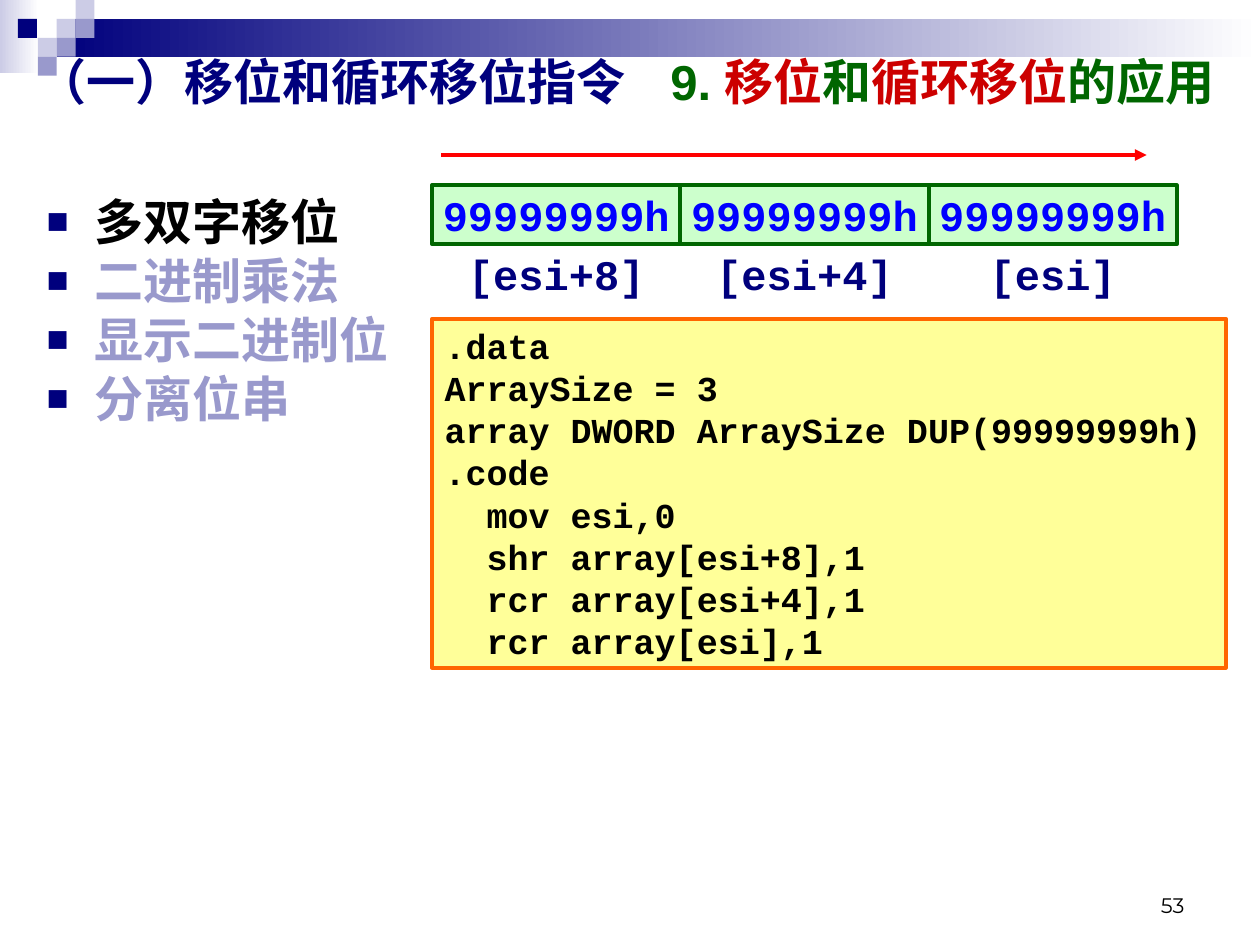
from lxml import etree
from pptx import Presentation
from pptx.dml.color import RGBColor
from pptx.enum.shapes import MSO_CONNECTOR, MSO_SHAPE
from pptx.enum.text import MSO_ANCHOR, MSO_AUTO_SIZE, PP_ALIGN
from pptx.oxml.ns import qn
from pptx.util import Inches, Pt

COLORS = {
    "navy": "00007D", "lilac": "9999CC", "pale": "CCCCE6", "white": "FFFFFF",
    "black": "000000", "green": "006600", "crimson": "CC0000", "red": "FF0000",
    "blue": "0000FF", "mint": "CCFFCC", "yellow": "FFFF99", "orange": "FF6600",
}


def rgb(name):
    return RGBColor.from_string(COLORS[name])


def add_span(para, text, size=28, font="Arial", color="black", bold=True):
    span = para.add_run()
    span.text = text
    span.font.size = Pt(size)
    span.font.name = font
    span.font.bold = bold
    span.font.color.rgb = rgb(color)


def add_child(parent, tag, **attributes):
    return etree.SubElement(parent, qn(tag), attributes)


class SlideBuilder:
    code_font = "Courier New"

    def __init__(self, page):
        self.page = page

    def rectangle(self, left, top, width, height, fill, line=None, fade=False):
        shape = self.page.shapes.add_shape(
            MSO_SHAPE.RECTANGLE, *map(Inches, (left, top, width, height)))
        shape.shadow.inherit = False
        if fade:
            shape.fill.gradient()
            shape.fill.gradient_angle = 0
            for stop, color in zip(shape.fill.gradient_stops, (fill, "white")):
                stop.color.rgb = rgb(color)
        else:
            shape.fill.solid()
            shape.fill.fore_color.rgb = rgb(fill)
        if line:
            shape.line.color.rgb = rgb(line)
            shape.line.width = Pt(2.25)
        else:
            shape.line.fill.background()
        return shape

    def text_box(self, left, top, width, height):
        return self.page.shapes.add_textbox(
            *map(Inches, (left, top, width, height)))

    def set_lines(self, box, lines, align=PP_ALIGN.LEFT,
                  anchor=MSO_ANCHOR.MIDDLE, wrap=False, spacing=None, **style):
        frame = box.text_frame
        frame.word_wrap = wrap
        frame.vertical_anchor = anchor
        for index, line in enumerate(lines):
            para = frame.paragraphs[0] if index == 0 else frame.add_paragraph()
            para.alignment = align
            para.line_spacing = spacing
            add_span(para, line, **style)

    def placeholder(self, box, left, top, width, height):
        box.left, box.top, box.width, box.height = map(
            Inches, (left, top, width, height))
        frame = box.text_frame
        frame.word_wrap = True
        frame.auto_size = MSO_AUTO_SIZE.NONE
        frame.vertical_anchor = MSO_ANCHOR.TOP
        # Bring the placeholder in front of the decoration
        box.element.getparent().append(box.element)
        return frame

    def title(self, spans, tab, *place):
        para = self.placeholder(self.page.shapes.title, *place).paragraphs[0]
        para.alignment = PP_ALIGN.LEFT
        tabs = add_child(para._p.get_or_add_pPr(), "a:tabLst")
        add_child(tabs, "a:tab", pos=str(Inches(tab)), algn="l")
        for text, color in spans:
            add_span(para, text, color=color)

    def bullets(self, items, *place):
        frame = self.placeholder(self.page.placeholders[1], *place)
        for index, (text, color) in enumerate(items):
            para = frame.paragraphs[0] if index == 0 else frame.add_paragraph()
            para.space_before = Pt(0)
            props = para._p.get_or_add_pPr()
            props.set("marL", str(Inches(0.38)))
            props.set("indent", str(Inches(-0.38)))
            bullet_color = add_child(props, "a:buClr")
            add_child(bullet_color, "a:srgbClr", val=COLORS["navy"])
            add_child(props, "a:buSzPct", val="75000")
            add_child(props, "a:buFont", typeface="Arial")
            add_child(props, "a:buChar", char="■")
            add_span(para, text, font="Times New Roman", color=color)

    def arrow(self, start, end, y, color):
        line = self.page.shapes.add_connector(
            MSO_CONNECTOR.STRAIGHT, *map(Inches, (start, y, end, y)))
        line.line.color.rgb = rgb(color)
        line.line.width = Pt(2.25)
        add_child(line.line._get_or_add_ln(), "a:tailEnd", type="triangle")
        add_child(line._element.spPr, "a:effectLst")


def main():
    deck = Presentation()
    deck.slide_width, deck.slide_height = Inches(10), Inches(7.5)
    builder = SlideBuilder(deck.slides.add_slide(deck.slide_layouts[1]))

    # Header band and mosaic
    builder.rectangle(0, 0, 0.31, 0.58, "pale", fade=True)
    builder.rectangle(0.45, 0.15, 9.55, 0.3, "navy", fade=True)
    tile = 0.15
    for column, row, color in [
            (3, 1, "pale"), (4, 0, "pale"), (4, 1, "lilac"), (2, 2, "pale"),
            (0.95, 1, "navy"), (3, 2, "lilac"), (2, 3, "lilac")]:
        builder.rectangle(column * tile, row * tile, tile, tile, color)

    # Page number
    number = builder.text_box(7.17, 6.83, 2.33, 0.5)
    builder.set_lines(number, ["53"], align=PP_ALIGN.RIGHT, wrap=True,
                      anchor=MSO_ANCHOR.BOTTOM, size=12, font="Montserrat",
                      bold=False)

    # Topics and title
    builder.bullets([("多双字移位", "black"), ("二进制乘法", "lilac"),
                     ("显示二进制位", "lilac"), ("分离位串", "lilac")],
                    0.27, 1.47, 9.45, 5.88)
    builder.title([("（一）移位和循环移位指令\t", "navy"), ("9. ", "green"),
                   ("移位", "crimson"), ("和", "green"),
                   ("循环移位", "crimson"), ("的应用", "green")],
                  5.02, 0.2, 0.36, 9.61, 0.63)

    # Assembly code
    listing = builder.rectangle(3.43, 2.53, 6.3, 2.77, "yellow", "orange")
    builder.set_lines(listing, [
        ".data",
        "ArraySize = 3",
        "array DWORD ArraySize DUP(99999999h)",
        ".code",
        "  mov esi,0",
        "  shr array[esi+8],1",
        "  rcr array[esi+4],1",
        "  rcr array[esi],1",
    ], anchor=MSO_ANCHOR.TOP, wrap=True, spacing=Pt(24), size=20,
        font=builder.code_font)

    # Memory cells with their addresses
    cell_width, cell_height = 1.97, 0.47
    for index, address in enumerate(["[esi+8]", "[esi+4]", "[esi]"]):
        left = 3.43 + index * cell_width
        cell = builder.rectangle(left, 1.47, cell_width, cell_height,
                                 "mint", "green")
        label = builder.text_box(left, 1.47 + cell_height, cell_width,
                                 cell_height)
        for box, text, color in [(cell, "99999999h", "blue"),
                                 (label, address, "navy")]:
            builder.set_lines(box, [text], align=PP_ALIGN.CENTER, size=24,
                              font=builder.code_font, color=color)

    # Shift direction
    builder.arrow(3.5, 9.1, 1.23, "red")

    deck.save("out.pptx")


if __name__ == "__main__":
    main()
